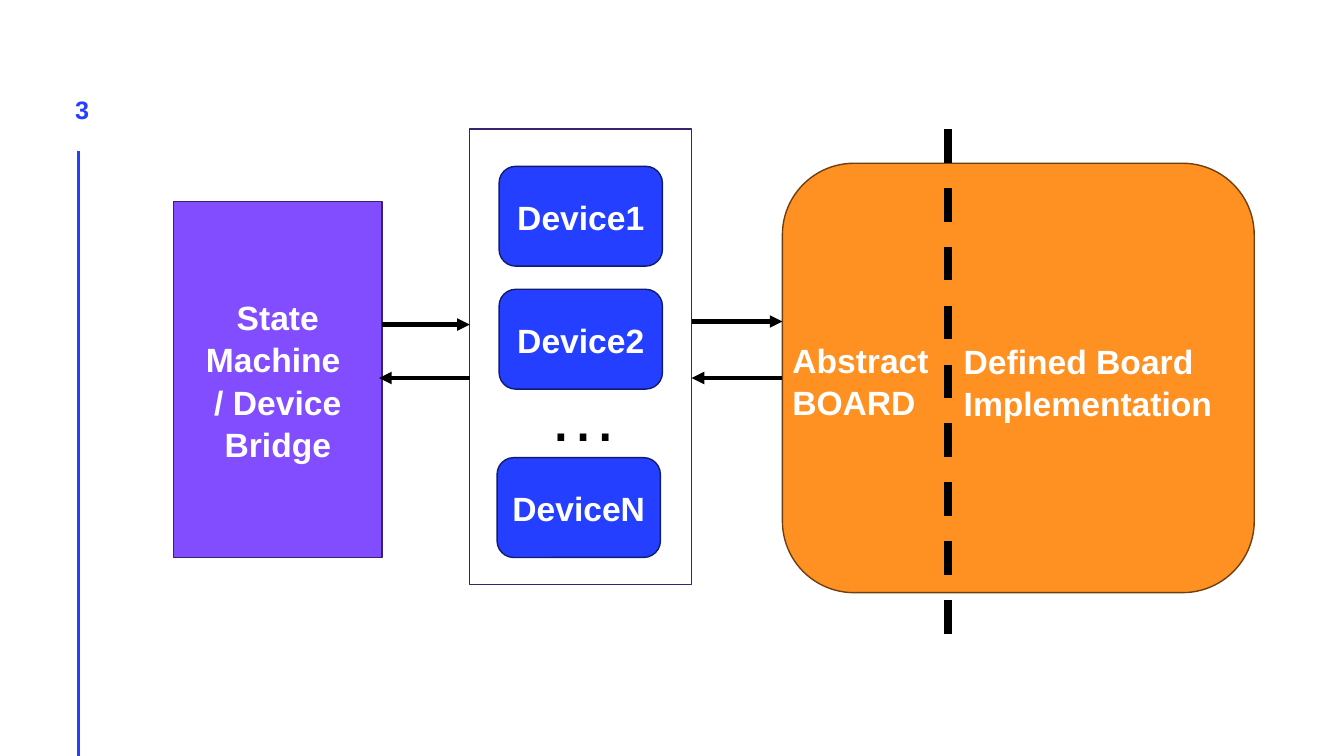
from pptx import Presentation
from pptx.dml.color import RGBColor
from pptx.enum.dml import MSO_LINE
from pptx.enum.shapes import MSO_CONNECTOR, MSO_SHAPE
from pptx.enum.text import MSO_ANCHOR, PP_ALIGN
from pptx.oxml.ns import qn
from pptx.util import Inches, Pt
from lxml import etree

COLORS = {
    "blue": "243FFF", "navy": "101C70", "purple": "814DFF", "indigo": "392270",
    "orange": "FF9022", "brown": "703F0F", "white": "FFFFFF", "black": "000000",
}


def write_text(shape, text, size=24, color="white", bold=True,
               align=PP_ALIGN.CENTER, anchor=MSO_ANCHOR.MIDDLE):
    frame = shape.text_frame
    frame.word_wrap = True
    frame.vertical_anchor = anchor
    frame.text = text
    for paragraph in frame.paragraphs:
        paragraph.alignment = align
        paragraph.line_spacing = 1.05
        font = paragraph.font
        font.name, font.size, font.bold = "Arial", Pt(size), bold
        font.color.rgb = RGBColor.from_string(COLORS[color])


def add_line(start, end, color, width, arrow=False):
    points = [Inches(value) for value in (*start, *end)]
    line = slide.shapes.add_connector(MSO_CONNECTOR.STRAIGHT, *points)
    line.line.color.rgb = RGBColor.from_string(COLORS[color])
    line.line.width = Pt(width)
    properties = line._element.spPr
    if arrow:
        etree.SubElement(properties.find(qn("a:ln")), qn("a:tailEnd"), type="triangle")
    etree.SubElement(properties, qn("a:effectLst"))
    return line


presentation = Presentation()
presentation.slide_width = Inches(13.33)
presentation.slide_height = Inches(7.5)
slide = presentation.slides.add_slide(presentation.slide_layouts[6])

# Slide number and side rule
add_line((0.78, 1.5), (0.78, 7.5), "blue", 2)
number = slide.shapes.add_textbox(Inches(0.53), Inches(0.79), Inches(0.57), Inches(0.57))
frame = number.text_frame
frame.margin_left = frame.margin_right = frame.margin_top = frame.margin_bottom = 0
write_text(number, "3", size=18, color="blue")

# Boxes: preset, left, top, width, height, fill, outline, text
rectangle, rounded = MSO_SHAPE.RECTANGLE, MSO_SHAPE.ROUNDED_RECTANGLE
boxes = [
    (rectangle, 4.66, 1.28, 2.2, 4.52, None, "indigo", ""),
    (rectangle, 1.72, 2, 2.07, 3.53, "purple", "indigo", "State Machine \n/ Device Bridge"),
    (rounded, 7.76, 1.62, 4.68, 4.26, "orange", "brown", ""),
]
devices = [("Device1", 4.95, 1.65), ("Device2", 4.95, 2.87), ("DeviceN", 4.93, 4.54)]
boxes += [(rounded, left, top, 1.62, 0.99, "blue", "navy", name)
          for name, left, top in devices]
for preset, left, top, width, height, fill, outline, text in boxes:
    shape = slide.shapes.add_shape(
        preset, Inches(left), Inches(top), Inches(width), Inches(height))
    shape.shadow.inherit = False
    if fill:
        shape.fill.solid()
        shape.fill.fore_color.rgb = RGBColor.from_string(COLORS[fill])
    else:
        shape.fill.background()
    shape.line.color.rgb = RGBColor.from_string(COLORS[outline])
    shape.line.width = Pt(1)
    if text:
        write_text(shape, text)
    if fill == "orange":
        board = shape

# Divider between the abstract board and its implementation
divider = add_line((9.4, 1.28), (9.4, 6.49), "black", 6)
divider.line.dash_style = MSO_LINE.DASH

# Free labels
labels = [
    ("Abstract\nBOARD", 7.76, 3.3, 1.66, 0.91, {}),
    ("Defined Board Implementation", 9.46, 3.31, 2.75, 0.91, {}),
    ("…", 5.34, 3.6, 0.81, 0.94, {"size": 50, "color": "black", "bold": False}),
]
for text, left, top, width, height, style in labels:
    label = slide.shapes.add_textbox(
        Inches(left), Inches(top), Inches(width), Inches(height))
    write_text(label, text, align=PP_ALIGN.LEFT, anchor=MSO_ANCHOR.TOP, **style)

# Arrows between the three stages
for start, end, height in [(3.79, 4.66, 3.22), (6.86, 7.76, 3.19), (4.66, 3.76, 3.75)]:
    add_line((start, height), (end, height), "black", 3, arrow=True)
board_reply = add_line((7.76, 3.75), (6.86, 3.75), "black", 3, arrow=True)
board_reply.begin_connect(board, 1)

presentation.save("out.pptx")
